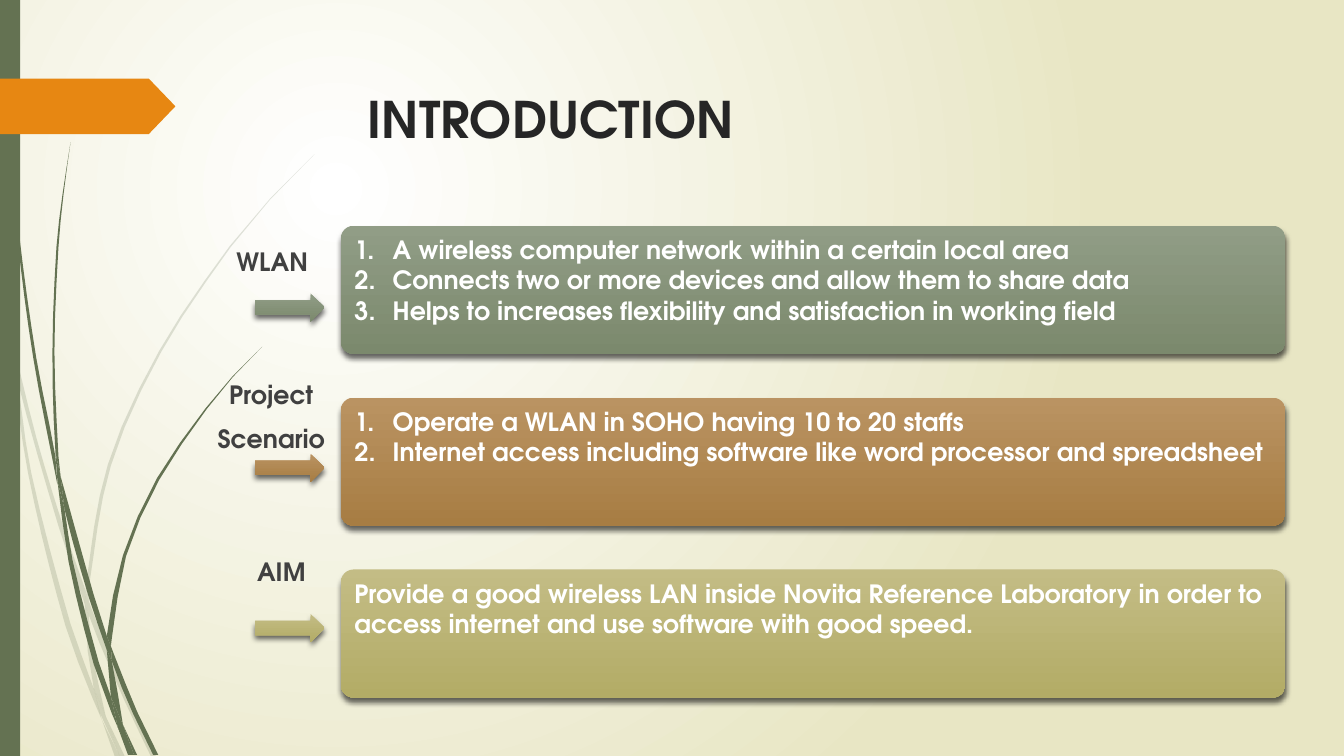
from dataclasses import dataclass

from lxml import etree
from pptx import Presentation
from pptx.dml.color import RGBColor
from pptx.enum.shapes import MSO_SHAPE
from pptx.enum.text import MSO_ANCHOR, PP_ALIGN
from pptx.oxml import parse_xml
from pptx.oxml.ns import nsdecls, qn
from pptx.util import Emu, Inches, Pt

RECTANGLE, ROUNDED = MSO_SHAPE.RECTANGLE, MSO_SHAPE.ROUNDED_RECTANGLE
ARROW, TAG = MSO_SHAPE.RIGHT_ARROW, MSO_SHAPE.PENTAGON
TOP, LEFT, CENTER = MSO_ANCHOR.TOP, PP_ALIGN.LEFT, PP_ALIGN.CENTER


@dataclass(frozen=True)
class Theme:
    font: str = "TeX Gyre Adventor"
    title_size: int = 36
    body_size: int = 18
    title: str = "262626"
    label: str = "404040"
    panel_text: str = "FFFFFF"
    green: str = "647252"
    orange: str = "E78712"
    background: tuple = ("FFFFFF", "E8E6C4")


THEME = Theme()
WIDTH, HEIGHT = 13.33, 7.5
TITLE = "INTRODUCTION"

SECTIONS = [
    {"label": ["WLAN"], "label_center": 2.7, "label_top": 2.44,
     "colors": ("919D86", "7B896D"), "numbered": True,
     "lines": ["A wireless computer network within a certain local area",
               "Connects two or more devices and allow them to share data",
               "Helps to increases flexibility and satisfaction in working field"]},
    {"label": ["Project", "Scenario"], "label_center": 2.69, "label_top": 3.76,
     "colors": ("BA9362", "A77D43"), "numbered": True,
     "lines": ["Operate a WLAN in SOHO having 10 to 20 staffs",
               "Internet access including software like word processor and spreadsheet"]},
    {"label": ["AIM"], "label_center": 2.79, "label_top": 5.52,
     "colors": ("C3BC85", "B3AC66"), "numbered": False,
     "lines": ["Provide a good wireless LAN inside Novita Reference Laboratory in order to "
               "access internet and use software with good speed."]},
]

PANEL_LEFT, PANEL_TOP, PANEL_WIDTH, PANEL_HEIGHT, PANEL_PITCH = 3.38, 2.24, 9.37, 1.27, 1.705
ARROW_LEFT, ARROW_TOP, ARROW_WIDTH, ARROW_HEIGHT, ARROW_PITCH = 2.53, 2.91, 0.69, 0.28, 1.59
LABEL_WIDTH, LABEL_LINE = 1.4, 0.44

FAINT_BLADES = [
    {"start": (0, 2.82), "left": [(0, 2.99), (0.11, 3.5)], "right": [(0.09, 3.22), (0.11, 3.5)]},
    {"start": (0.14, 3.45), "left": [(0.17, 3.76), (0.58, 5.22), (0.84, 5.99)],
     "right": [(0.36, 4.34), (0.62, 5.2), (0.85, 5.86)]},
    {"start": (0.88, 5.96), "left": [(0.88, 6.1), (1.23, 6.94), (1.5, 7.51)],
     "right": [(0.92, 6.07), (1.27, 6.92), (1.55, 7.51)]},
    {"start": (1.05, 7.11), "left": [(1.19, 7.51)], "right": [(1.24, 7.51)]},
    {"start": (0.11, 3.5), "left": [(0.28, 4.7), (0.65, 6.21), (0.92, 6.93), (1.01, 7.14)],
     "right": [(0.17, 3.76), (0.31, 4.69), (0.7, 6.19), (0.93, 6.83), (1.01, 7.14)]},
    {"start": (0.84, 5.99), "left": [(0.87, 6.46), (0.93, 6.83), (1.05, 7.11)],
     "right": [(0.88, 6.1), (0.91, 6.46), (1.05, 7.11)]},
    {"start": (3.12, 1.53),
     "left": [(2.68, 1.97), (2.28, 2.44), (1.58, 3.48), (1.07, 4.61), (0.85, 5.84), (0.88, 5.96)],
     "right": [(2.68, 1.98), (2.29, 2.45), (1.6, 3.49), (1.1, 4.62), (0.88, 5.84), (0.88, 5.96)]},
    {"start": (1.01, 7.14), "left": [(1.14, 7.51)], "right": [(1.19, 7.51)]},
    {"start": (0.85, 5.86), "left": [(0.84, 5.99), (0.88, 6.1)],
     "right": [(0.88, 5.96), (0.88, 6.1)]},
    {"start": (0.93, 6.83), "left": [(0.99, 7.07), (1.19, 7.51)],
     "right": [(1.05, 7.11), (1.19, 7.51)]},
]
GREEN_BLADES = [
    {"start": (0.03, 0), "left": [(0.07, 1.1), (0.17, 2.33), (0.33, 3.55), (0.57, 4.81)],
     "right": [(0.08, 1.09), (0.19, 2.32), (0.36, 3.55), (0.55, 4.53), (0.57, 4.81)]},
    {"start": (0.6, 4.72), "left": [(0.64, 5.05), (0.88, 5.92), (1.06, 6.45)],
     "right": [(0.93, 5.9), (1.06, 6.31), (1.06, 6.45)]},
    {"start": (1.1, 6.41), "left": [(1.11, 6.56), (1.32, 7.08), (1.52, 7.49)],
     "right": [(1.13, 6.49), (1.36, 7.06), (1.57, 7.49)]},
    {"start": (0.57, 4.77), "left": [(0.68, 5.57), (0.93, 6.59), (1.11, 7.08), (1.17, 7.22)],
     "right": [(0.64, 5.05), (0.72, 5.56), (0.98, 6.57), (1.1, 6.91), (1.17, 7.22)]},
    {"start": (0.7, 1.41),
     "left": [(0.62, 1.93), (0.56, 2.45), (0.52, 3.49), (0.55, 4.49), (0.6, 4.72)],
     "right": [(0.63, 1.93), (0.58, 2.45), (0.54, 3.49), (0.58, 4.53), (0.6, 4.72)]},
    {"start": (1.22, 7.19), "left": [(1.33, 7.49)], "right": [(1.36, 7.49)]},
    {"start": (0.55, 4.49), "left": [(0.57, 4.77), (0.64, 5.05)],
     "right": [(0.6, 4.72), (0.64, 5.05)]},
    {"start": (2.6, 3.44),
     "left": [(2.31, 3.73), (2.04, 4.05), (1.56, 4.74), (1.22, 5.51), (1.06, 6.31), (1.1, 6.41)],
     "right": [(2.31, 3.74), (2.05, 4.06), (1.58, 4.76), (1.25, 5.52), (1.11, 6.33), (1.1, 6.41)]},
    {"start": (1.17, 7.22), "left": [(1.27, 7.49)], "right": [(1.31, 7.49)]},
    {"start": (1.06, 6.45), "left": [(1.1, 6.91), (1.22, 7.19)],
     "right": [(1.11, 6.56), (1.22, 7.19)]},
    {"start": (1.06, 6.31), "left": [(1.06, 6.45), (1.11, 6.56)],
     "right": [(1.1, 6.41), (1.11, 6.56)]},
    {"start": (1.1, 6.91), "left": [(1.17, 7.22), (1.3, 7.49)],
     "right": [(1.22, 7.19), (1.33, 7.49)]},
]


def smooth_edge(points):
    last = len(points) - 1
    slopes = []
    for i in range(last + 1):
        (x0, y0), (x1, y1) = points[max(i - 1, 0)], points[min(i + 1, last)]
        slopes.append((x1 - x0) / (y1 - y0))
    edge = [points[0]]
    for i in range(last):
        (x0, y0), (x1, y1) = points[i], points[i + 1]
        span = y1 - y0
        steps = max(1, round(span * 3))
        for step in range(1, steps + 1):
            t = step / steps
            x = ((2 * t**3 - 3 * t**2 + 1) * x0 + (3 * t**2 - 2 * t**3) * x1
                 + (t**3 - 2 * t**2 + t) * span * slopes[i]
                 + (t**3 - t**2) * span * slopes[i + 1])
            edge.append((x, y0 + t * span))
    return edge


def paint(shape, color):
    shape.shadow.inherit = False
    shape.line.fill.background()
    shape.fill.solid()
    shape.fill.fore_color.rgb = RGBColor.from_string(color)


def set_gradient(fill, colors):
    fill.gradient()
    for stop, color in zip(fill.gradient_stops, colors):
        stop.color.rgb = RGBColor.from_string(color)


def add_blade(page, blade, opacity):
    left, right = (smooth_edge([blade["start"]] + blade[side]) for side in ("left", "right"))
    outline = [(Inches(x), Inches(y)) for x, y in left + right[:0:-1]]
    builder = page.shapes.build_freeform(*outline[0])
    builder.add_line_segments(outline[1:], close=True)
    shape = builder.convert_to_shape()
    paint(shape, THEME.green)
    if opacity < 100:
        color = shape._element.spPr.find(".//" + qn("a:srgbClr"))
        etree.SubElement(color, qn("a:alpha"), val=str(opacity * 1000))


def add_plain(page, kind, color, *frame):
    shape = page.shapes.add_shape(kind, *map(Inches, frame))
    paint(shape, color)
    return shape


def add_raised(page, kind, colors, *frame):
    shape = add_plain(page, kind, colors[0], *frame)
    set_gradient(shape.fill, colors)
    shape.fill.gradient_angle = 270
    effects = shape._element.spPr.find(qn("a:effectLst"))
    effects.append(parse_xml(
        f'<a:outerShdw {nsdecls("a")} blurRad="{Pt(4)}" dist="{Pt(3)}" dir="5400000" '
        'rotWithShape="0"><a:srgbClr val="000000"><a:alpha val="60000"/></a:srgbClr>'
        '</a:outerShdw>'))
    return shape


def write(shape, lines, size, color, align=LEFT, numbered=False, gap=0):
    frame = shape.text_frame
    frame.word_wrap = True
    frame.vertical_anchor = TOP
    for i, line in enumerate(lines):
        para = frame.paragraphs[0] if i == 0 else frame.add_paragraph()
        para.text = line
        para.alignment = align
        para.space_after = Pt(gap)
        para.font.name, para.font.size, para.font.bold = THEME.font, Pt(size), True
        para.font.color.rgb = RGBColor.from_string(color)
        if numbered:
            props = para._p.get_or_add_pPr()
            props.set("marL", str(Inches(0.38)))
            props.set("indent", str(-Inches(0.38)))
            bullet = parse_xml(f'<a:buAutoNum {nsdecls("a")} type="arabicPeriod"/>')
            props.insert_element_before(bullet, "a:tabLst", "a:defRPr", "a:extLst")


def add_background(page):
    set_gradient(page.background.fill, THEME.background)
    linear = page._element.find(".//" + qn("a:lin"))
    linear.getparent().replace(linear, parse_xml(
        f'<a:path {nsdecls("a")} path="circle">'
        '<a:fillToRect l="50000" t="50000" r="100000" b="100000"/></a:path>'))


def add_section(page, index, section):
    panel = add_raised(page, ROUNDED, section["colors"], PANEL_LEFT,
                       PANEL_TOP + index * PANEL_PITCH, PANEL_WIDTH, PANEL_HEIGHT)
    panel.adjustments[0] = 0.1
    write(panel, section["lines"], THEME.body_size, THEME.panel_text,
          numbered=section["numbered"])
    label = page.shapes.add_textbox(*map(Inches, (
        section["label_center"] - LABEL_WIDTH / 2, section["label_top"],
        LABEL_WIDTH, LABEL_LINE * len(section["label"]))))
    label.text_frame.margin_top = label.text_frame.margin_bottom = Emu(0)
    write(label, section["label"], THEME.body_size, THEME.label, CENTER, gap=10)
    add_raised(page, ARROW, section["colors"], ARROW_LEFT,
               ARROW_TOP + index * ARROW_PITCH, ARROW_WIDTH, ARROW_HEIGHT)


deck = Presentation()
deck.slide_width, deck.slide_height = Inches(WIDTH), Inches(HEIGHT)
page = deck.slides.add_slide(deck.slide_layouts[6])
add_background(page)
for blades, opacity in ((FAINT_BLADES, 20), (GREEN_BLADES, 100)):
    for blade in blades:
        add_blade(page, blade, opacity)
add_plain(page, RECTANGLE, THEME.green, 0, 0, 0.2, HEIGHT)
tag = add_plain(page, TAG, THEME.orange, 0, 0.78, 1.74, 0.55)
tag.adjustments[0] = 0.48
title = page.shapes.add_textbox(*map(Inches, (3.55, 0.82, 4.29, 1.41)))
write(title, [TITLE], THEME.title_size, THEME.title)
for index, section in enumerate(SECTIONS):
    add_section(page, index, section)
deck.save("out.pptx")
